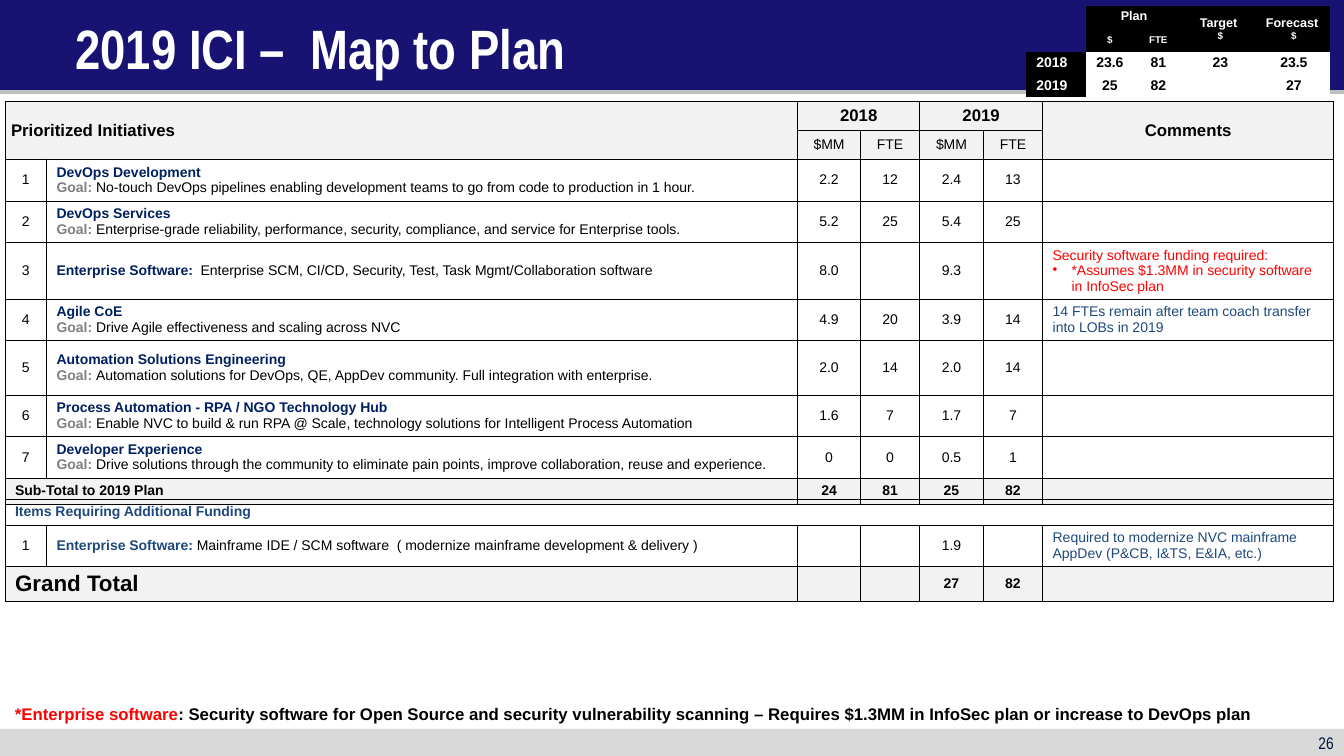
from lxml.etree import SubElement
from pptx import Presentation
from pptx.dml.color import RGBColor
from pptx.enum.shapes import MSO_CONNECTOR as Connector, MSO_SHAPE as Shape
from pptx.enum.text import MSO_ANCHOR as Anchor, MSO_AUTO_SIZE as AutoSize, PP_ALIGN as Align
from pptx.oxml.ns import qn
from pptx.util import Pt

NAVY = RGBColor(0x18, 0x12, 0x73)
INK = RGBColor(0x00, 0x13, 0x3A)
HEADING = RGBColor(0x00, 0x20, 0x60)
BLUE = RGBColor(0x1F, 0x49, 0x7D)
RED = RGBColor(0xFF, 0x00, 0x00)
BLACK = RGBColor(0x00, 0x00, 0x00)
WHITE = RGBColor(0xFF, 0xFF, 0xFF)
GREY = RGBColor(0x80, 0x80, 0x80)
SILVER = RGBColor(0xBF, 0xBF, 0xBF)
BAND = RGBColor(0xD9, 0xD9, 0xD9)
PALE = RGBColor(0xF2, 0xF2, 0xF2)

NO_GRID_STYLE = "{2D5ABB26-0587-4C30-8999-92F81FD0307C}"
PLAN_WIDTHS = [29.6, 536.6, 44.8, 42.4, 45.4, 42.4, 208]
SIDE_MARGIN = 7.2

INITIATIVES = [
    ("DevOps Development", "No-touch DevOps pipelines enabling development teams to go from code to production in 1 hour.",
     ["2.2", "12", "2.4", "13"]),
    ("DevOps Services", "Enterprise-grade reliability, performance, security, compliance, and service for Enterprise tools.",
     ["5.2", "25", "5.4", "25"]),
    ("Enterprise Software:  ", "Enterprise SCM, CI/CD, Security, Test, Task Mgmt/Collaboration software",
     ["8.0", "", "9.3", ""]),
    ("Agile CoE", "Drive Agile effectiveness and scaling across NVC",
     ["4.9", "20", "3.9", "14"]),
    ("Automation Solutions Engineering", "Automation solutions for DevOps, QE, AppDev community. Full integration with enterprise.",
     ["2.0", "14", "2.0", "14"]),
    ("Process Automation - RPA / NGO Technology Hub",
     "Enable NVC to build & run RPA @ Scale, technology solutions for Intelligent Process Automation",
     ["1.6", "7", "1.7", "7"]),
    ("Developer Experience",
     "Drive solutions through the community to eliminate pain points, improve collaboration, reuse and experience.",
     ["0", "0", "0.5", "1"]),
]
COMMENTS = {
    3: [[("Security software funding required:", RED, False)],
        [("*Assumes $1.3MM in security software in InfoSec plan", RED, False)]],
    4: [[("14 FTEs remain after team coach transfer into LOBs in 2019", BLUE, False)]],
}


def write(frame, paragraphs, size, align=Align.LEFT, font="Arial"):
    for number, runs in enumerate(paragraphs):
        paragraph = frame.paragraphs[0] if number == 0 else frame.add_paragraph()
        paragraph.alignment = align
        for words, color, bold in runs:
            run = paragraph.add_run()
            run.text = words
            run.font.name, run.font.size, run.font.bold = font, Pt(size), bold
            run.font.color.rgb = color


def add_bullet(paragraph):
    properties = paragraph._p.get_or_add_pPr()
    properties.set("marL", str(Pt(13.5)))
    properties.set("indent", str(-Pt(13.5)))
    SubElement(properties, qn("a:buChar"), char="•")


def add_band(slide, top, height, color):
    band = slide.shapes.add_shape(Shape.RECTANGLE, 0, Pt(top), Pt(960), Pt(height))
    band.shadow.inherit = False
    band.fill.solid()
    band.fill.fore_color.rgb = color
    band.line.fill.background()


def add_rule(slide, top):
    rule = slide.shapes.add_connector(Connector.STRAIGHT, 0, Pt(top), Pt(960), Pt(top))
    rule.line.color.rgb = SILVER
    rule.line.width = Pt(3)
    SubElement(rule._element.spPr, qn("a:effectLst"))


def add_label(slide, left, top, width, height, runs, size, align=Align.LEFT, font="Arial"):
    frame = slide.shapes.add_textbox(Pt(left), Pt(top), Pt(width), Pt(height)).text_frame
    frame.word_wrap = True
    frame.vertical_anchor = Anchor.MIDDLE
    write(frame, [runs], size, align, font)


def add_grid(slide, left, top, widths, heights):
    table = slide.shapes.add_table(len(heights), len(widths), Pt(left), Pt(top),
                                   Pt(sum(widths)), Pt(sum(heights))).table
    table.first_row = table.horz_banding = False
    table._tbl.tblPr.find(qn("a:tableStyleId")).text = NO_GRID_STYLE
    for column, width in zip(table.columns, widths):
        column.width = Pt(width)
    for row, height in zip(table.rows, heights):
        row.height = Pt(height)
    for cell in table.iter_cells():
        cell.margin_top = cell.margin_bottom = 0
        cell.text_frame.paragraphs[0]._p.get_or_add_endParaRPr().set("sz", "700")
    return table


def fill_cell(cell, paragraphs, fill, size=10, align=Align.LEFT, side=SIDE_MARGIN, pad=3):
    cell.margin_left = cell.margin_right = Pt(side)
    cell.margin_top = cell.margin_bottom = Pt(pad)
    cell.vertical_anchor = Anchor.MIDDLE
    if fill is None:
        cell.fill.background()
    else:
        cell.fill.solid()
        cell.fill.fore_color.rgb = fill
    write(cell.text_frame, paragraphs, size, align)


def fill_numbers(table, row, values, fill, bold=False):
    for column, value in enumerate(values, 2):
        runs = [[(value, BLACK, bold)]] if value else []
        fill_cell(table.cell(row, column), runs, fill, align=Align.CENTER, side=0)


def rule_cells(table, heavy_row):
    for r, row in enumerate(table.rows):
        for c, cell in enumerate(row.cells):
            if cell.is_spanned:
                continue
            heavy = {"L": c in (4, 6), "R": c in (3, 5), "T": r == heavy_row, "B": r == heavy_row - 1}
            properties = cell._tc.get_or_add_tcPr()
            for place, (side, strong) in enumerate(heavy.items()):
                edge = SubElement(properties, qn(f"a:ln{side}"), w=str(Pt(1 if strong else 0.5)))
                SubElement(SubElement(edge, qn("a:solidFill")), qn("a:srgbClr"), val=str(BLACK))
                properties.insert(place, edge)


def add_initiatives(slide):
    heights = [20.7, 20.7, 29.8, 29.6, 40.7, 29.3, 39.3, 29.3, 29.8, 18.6]
    table = add_grid(slide, 3.6, 72.4, PLAN_WIDTHS, heights)
    for first, last in [((0, 0), (1, 1)), ((0, 2), (0, 3)), ((0, 4), (0, 5)), ((0, 6), (1, 6)), ((9, 0), (9, 1))]:
        table.cell(*first).merge(table.cell(*last))
    fill_cell(table.cell(0, 0), [[("Prioritized Initiatives", BLACK, True)]], PALE, 12, side=4.3)
    for column, heading in [(2, "2018"), (4, "2019"), (6, "Comments")]:
        fill_cell(table.cell(0, column), [[(heading, BLACK, True)]], PALE, 12, Align.CENTER)
    fill_numbers(table, 1, ["$MM", "FTE"] * 2, PALE)
    for rank, (name, goal, numbers) in enumerate(INITIATIVES, 1):
        row = rank + 1
        title, detail = (name, HEADING, True), (goal, BLACK, False)
        if name.startswith("Enterprise"):
            summary = [[title, detail]]
        else:
            summary = [[title], [("Goal: ", GREY, True), detail]]
        fill_cell(table.cell(row, 0), [[(str(rank), BLACK, False)]], WHITE, align=Align.CENTER)
        fill_cell(table.cell(row, 1), summary, WHITE)
        fill_numbers(table, row, numbers, WHITE)
        fill_cell(table.cell(row, 6), COMMENTS.get(rank, []), WHITE)
    add_bullet(table.cell(4, 6).text_frame.paragraphs[1])
    fill_cell(table.cell(9, 0), [[("Sub-Total to 2019 Plan", BLACK, True)]], PALE)
    fill_numbers(table, 9, ["24", "81", "25", "82"], PALE, True)
    fill_cell(table.cell(9, 6), [], PALE)
    rule_cells(table, 2)


def add_summary(slide):
    table = add_grid(slide, 733, 4.3, [42.5, 34.6, 34.6, 54, 51.1], [15, 17.9, 15.7, 16.4])
    table.cell(0, 1).merge(table.cell(0, 2))
    fill_cell(table.cell(0, 1), [[("Plan", WHITE, True)]], BLACK, 9, Align.CENTER, pad=0)
    for column, heading in [(3, "Target "), (4, "Forecast ")]:
        cell = table.cell(0, column)
        cell.merge(table.cell(1, column))
        fill_cell(cell, [[(heading, WHITE, True)], [("$", WHITE, True)]], BLACK, 9, Align.CENTER, 0, 0)
        cell.text_frame.paragraphs[1].runs[0].font.size = Pt(7)
    for column, unit in [(1, "$"), (2, "FTE")]:
        fill_cell(table.cell(1, column), [[(unit, WHITE, True)]], BLACK, 7, Align.CENTER, pad=0)
    for row, (year, *amounts) in enumerate([("2018", "23.6", "81", "23", "23.5"), ("2019", "25", "82", "", "27")], 2):
        fill_cell(table.cell(row, 0), [[(year, WHITE, True)]], BLACK, pad=0)
        for column, amount in enumerate(amounts, 1):
            runs = [[(amount, BLACK, True)]] if amount else []
            fill_cell(table.cell(row, column), runs, WHITE, align=Align.CENTER, side=0, pad=0)


def add_extra_funding(slide):
    table = add_grid(slide, 3.6, 356.4, PLAN_WIDTHS, [18.9, 29.3, 25])
    table.cell(0, 0).merge(table.cell(0, 6))
    table.cell(2, 0).merge(table.cell(2, 1))
    fill_cell(table.cell(0, 0), [[("Items Requiring Additional Funding", BLUE, True)]], None)
    fill_cell(table.cell(1, 0), [[("1", BLACK, False)]], WHITE, align=Align.CENTER)
    fill_cell(table.cell(1, 1), [[
        ("Enterprise Software:", BLUE, True),
        (" Mainframe IDE / SCM software  ( modernize mainframe development & delivery )", BLACK, False)]], WHITE)
    fill_numbers(table, 1, ["", "", "1.9", ""], WHITE)
    fill_cell(table.cell(1, 6), [[
        ("Required to modernize NVC mainframe AppDev (P&CB, I&TS, E&IA, etc.)", BLUE, False)]], WHITE)
    fill_cell(table.cell(2, 0), [[("Grand Total", BLACK, True)]], PALE, 16)
    fill_numbers(table, 2, ["", "", "27", "82"], PALE, True)
    fill_cell(table.cell(2, 6), [], PALE)
    rule_cells(table, 2)


def place_title(slide):
    title = slide.shapes.title
    title.left, title.top, title.width, title.height = Pt(48), Pt(5.8), Pt(669.6), Pt(56.2)
    frame = title.text_frame
    frame.auto_size = AutoSize.NONE
    frame.margin_left = frame.margin_right = Pt(5.8)
    frame.vertical_anchor = Anchor.MIDDLE
    write(frame, [[("2019 ICI –  Map to Plan", WHITE, True)]], 39.6, font="Arial Narrow")
    slide.shapes._spTree.append(title._element)


def main():
    deck = Presentation()
    deck.slide_width, deck.slide_height = Pt(960), Pt(540)
    slide = deck.slides.add_slide(deck.slide_layouts[5])
    add_band(slide, 0, 66, NAVY)
    add_band(slide, 520.6, 19.4, BAND)
    add_rule(slide, 66)
    add_label(slide, 735.8, 520.6, 224, 19.4, [("26", INK, False)], 12, Align.RIGHT, "Arial Narrow")
    place_title(slide)
    add_initiatives(slide)
    add_summary(slide)
    add_extra_funding(slide)
    add_label(slide, 3.6, 499, 920, 21.6, [
        ("*Enterprise software", RED, True),
        (": Security software for Open Source and security vulnerability scanning – "
         "Requires $1.3MM in InfoSec plan or increase to DevOps plan", BLACK, True)], 12)
    deck.save("out.pptx")


if __name__ == "__main__":
    main()
